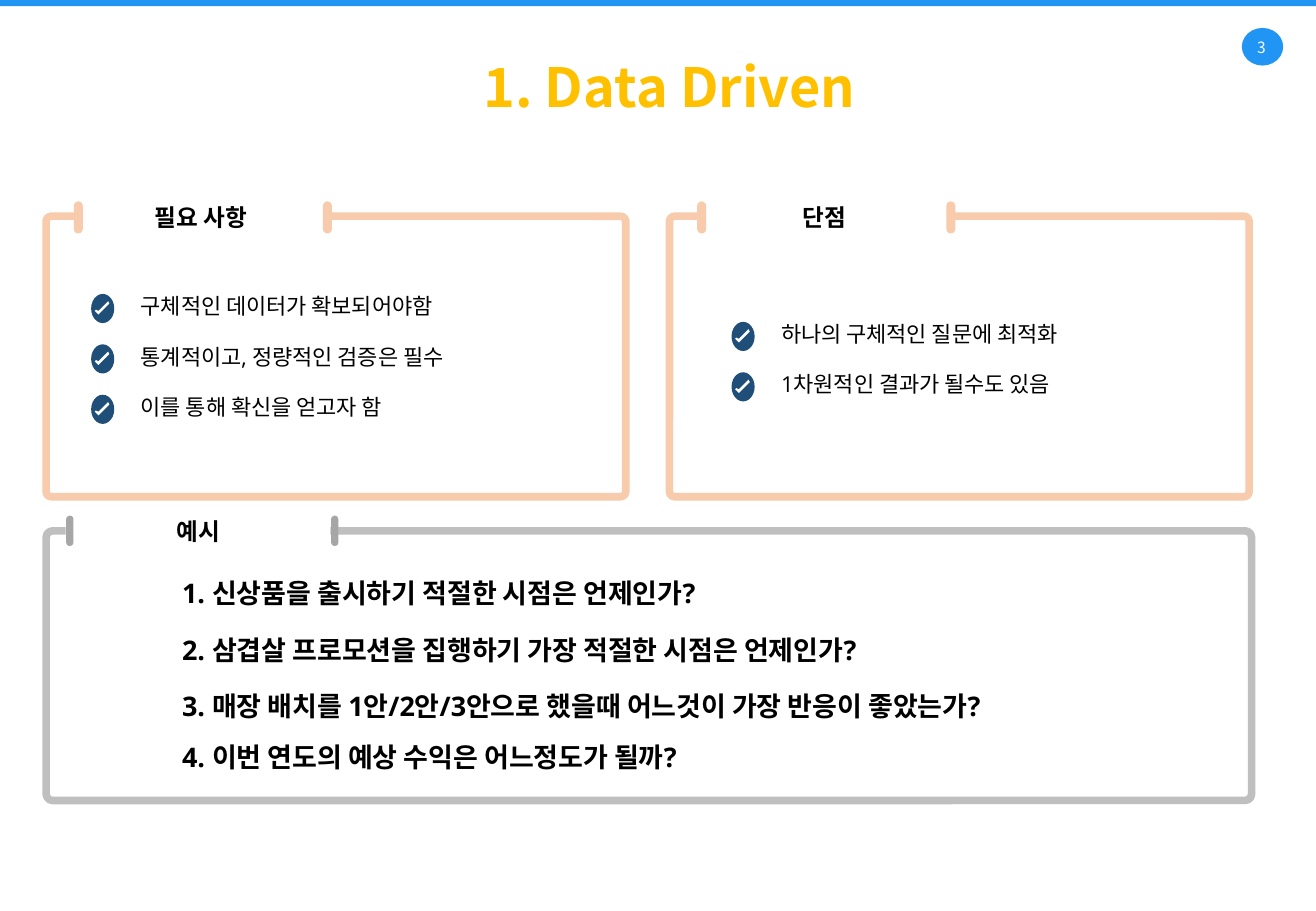
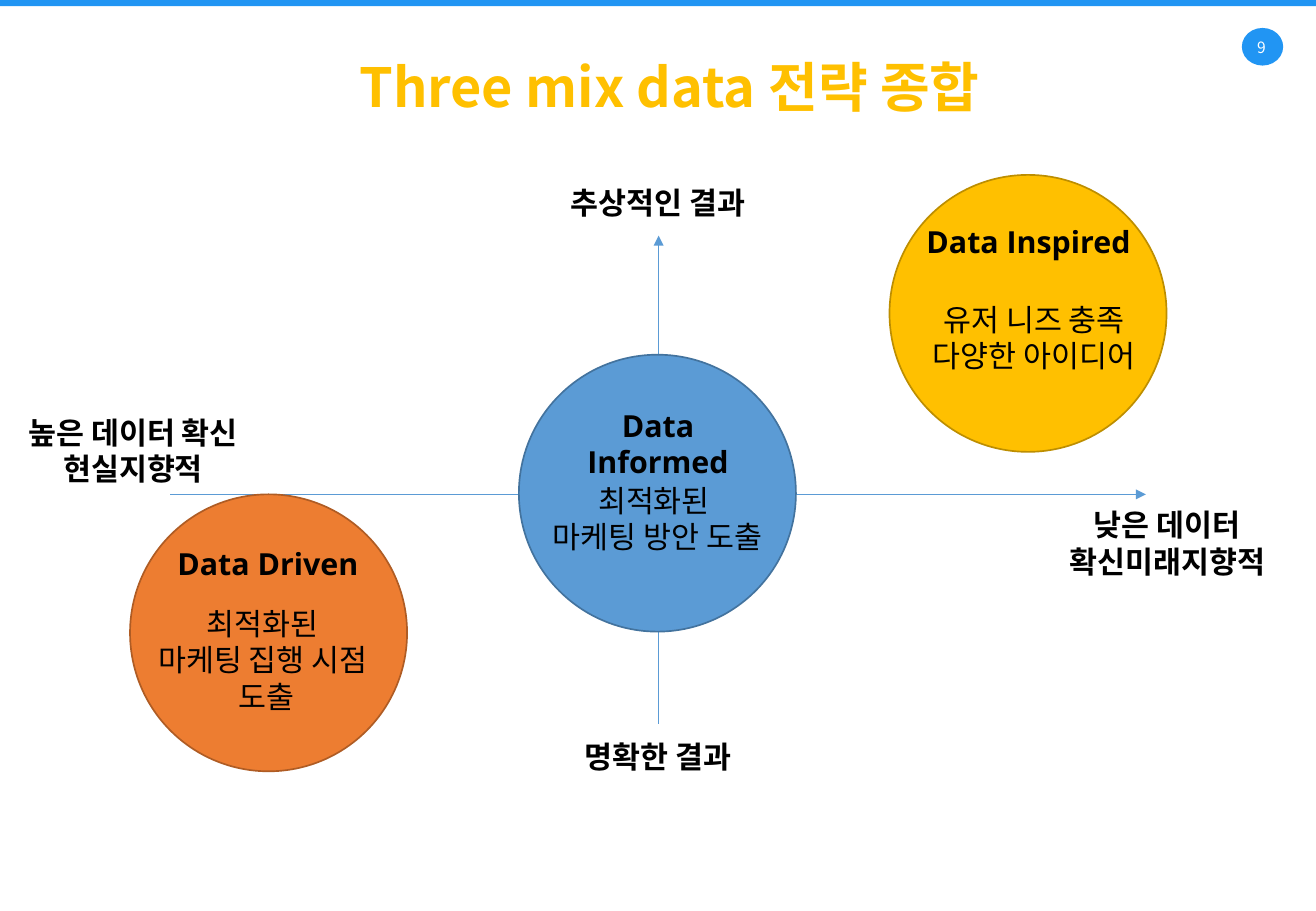
from dataclasses import dataclass

from pptx import Presentation
from pptx import util as u
from pptx.dml import color
from pptx.enum import shapes, text
from pptx.oxml import ns, xmlchemy

I = u.Inches
GEOM = shapes.MSO_SHAPE
Box = tuple[float, float, float, float]


# Theme
@dataclass(frozen=True)
class Theme:
    latin: str = "Open Sans"
    asian: str = "Noto Sans CJK KR"
    white: str = "FFFFFF"
    black: str = "000000"
    band: str = "2195F3"
    title: str = "FFC000"
    peach: str = "F8CBAD"
    gray: str = "BFBFBF"
    dark_gray: str = "A6A6A6"
    navy: str = "1F4E79"
    blue: str = "5B9BD5"
    blue_edge: str = "43739E"
    gold: str = "FFC000"
    gold_edge: str = "BD8E00"
    orange: str = "ED7D31"
    orange_edge: str = "AF5C24"
    number_size: float = 9.2
    title_size: float = 32
    item_size: float = 13
    label_size: float = 14
    example_size: float = 16
    map_size: float = 18


T = Theme()


@dataclass(frozen=True)
class Panel:
    box: Box
    label: str
    label_box: Box
    ticks: tuple[float, float]
    edge: str
    tick_fill: str
    tick_edge: str | None
    radius: float


@dataclass(frozen=True)
class CheckList:
    x: float
    y: float
    items: tuple[str, ...]


@dataclass(frozen=True)
class Circle:
    x: float
    y: float
    fill: str
    edge: str


@dataclass(frozen=True)
class Caption:
    box: Box
    text: str
    bold: bool = True


# Drawing helpers
def rgb(value: str):
    return color.RGBColor.from_string(value)


def paint(sp, fill: str, edge: str | None = None, width: float = 1):
    sp.shadow.inherit = False
    sp.fill.solid()
    sp.fill.fore_color.rgb = rgb(fill)
    if edge:
        sp.line.color.rgb = rgb(edge)
        sp.line.width = u.Pt(width)
    else:
        sp.line.fill.background()
    return sp


def add_shape(parent, geom, box: Box, fill: str, edge: str | None = None, width: float = 1):
    sp = parent.shapes.add_shape(geom, *map(I, box))
    return paint(sp, fill, edge, width)


def write(sp, content: str, size: float, ink: str = T.black, bold: bool = False,
          center: bool = True, font: str = T.latin) -> None:
    tf = sp.text_frame
    tf.word_wrap = True
    tf.text = content
    for p in tf.paragraphs:
        p.alignment = text.PP_ALIGN.CENTER if center else text.PP_ALIGN.LEFT
        for r in p.runs:
            r.font.name = font
            r.font.size = u.Pt(size)
            r.font.bold = bold
            r.font.color.rgb = rgb(ink)
            ea = xmlchemy.OxmlElement("a:ea")
            ea.set("typeface", T.asian)
            r.font._element.append(ea)


def add_text(s, box: Box, content: str, size: float, inset: bool = True, **style):
    sp = s.shapes.add_textbox(*map(I, box))
    tf = sp.text_frame
    if not inset:
        tf.margin_left = tf.margin_right = tf.margin_top = tf.margin_bottom = 0
    write(sp, content, size, **style)
    return sp


def add_arrow(s, x1: float, y1: float, x2: float, y2: float) -> None:
    line = s.shapes.add_connector(shapes.MSO_CONNECTOR.STRAIGHT, I(x1), I(y1), I(x2), I(y2))
    line.line.color.rgb = rgb(T.blue)
    line.line.width = u.Pt(0.5)
    head = xmlchemy.OxmlElement("a:tailEnd")
    head.set("type", "triangle")
    line.line._get_or_add_ln().append(head)
    line._element.find(ns.qn("p:spPr")).append(xmlchemy.OxmlElement("a:effectLst"))


def add_panel(s, panel: Panel) -> None:
    frame = add_shape(s, GEOM.ROUNDED_RECTANGLE, panel.box, T.white, panel.edge, 4.5)
    frame.adjustments[0] = panel.radius
    label = add_shape(s, GEOM.RECTANGLE, panel.label_box, T.white)
    label.text_frame.vertical_anchor = text.MSO_ANCHOR.MIDDLE
    write(label, panel.label, T.label_size, bold=True)
    for x in panel.ticks:
        tick = add_shape(s, GEOM.ROUNDED_RECTANGLE, (x, panel.label_box[1] + 0.13, 0.25, 0.06),
                         panel.tick_fill, panel.tick_edge)
        tick.adjustments[0] = 0.5
        tick.rotation = 270


def add_check(s, x: float, y: float) -> None:
    group = s.shapes.add_group_shape()
    add_shape(group, GEOM.OVAL, (x, y, 0.19, 0.24), T.navy)
    outline = [(0.14, 0.06), (0.15, 0.08), (0.06, 0.17), (0.03, 0.14), (0.04, 0.13), (0.06, 0.14)]
    points = [(I(x + dx), I(y + dy)) for dx, dy in outline]
    builder = group.shapes.build_freeform(*points[0])
    builder.add_line_segments(points[1:], close=True)
    paint(builder.convert_to_shape(), T.white)


def add_check_list(s, checks: CheckList) -> None:
    for i, item in enumerate(checks.items):
        y = checks.y + i * 0.415
        add_text(s, (checks.x, y, 3.72, 0.32), item, T.item_size, center=False)
        add_check(s, checks.x - 0.31, y + 0.06)


def new_slide(prs, number: int, title: str):
    s = prs.slides.add_slide(prs.slide_layouts[6])
    # Page number and top band
    add_shape(s, GEOM.OVAL, (10.22, 0.23, 0.34, 0.31), T.band)
    add_text(s, (10.19, 0.31, 0.38, 0.15), str(number), T.number_size, inset=False,
             ink=T.white, font=T.asian)
    add_shape(s, GEOM.RECTANGLE, (0, 0, 10.83, 0.05), T.band)
    # Title
    sp = add_text(s, (0.71, 0.44, 9.41, 0.54), title, T.title_size, inset=False,
                  ink=T.title, bold=True, font=T.asian)
    pPr = sp.text_frame.paragraphs[0]._p.get_or_add_pPr()
    pPr.set("marL", str(I(0.1)))
    pPr.set("indent", str(I(0.09)))
    return s


# Slide content
def peach_panel(x: float, label: str) -> Panel:
    return Panel((x, 1.78, 4.77, 2.31), label, (x + 0.26, 1.63, 2.03, 0.32),
                 (x + 0.14, x + 2.19), T.peach, T.peach, T.peach, 0.018)


EXAMPLE_PANEL = Panel((0.38, 4.37, 9.92, 2.22), "예시", (0.54, 4.21, 2.18, 0.32),
                      (0.45, 2.63), T.gray, T.dark_gray, None, 0.024)

NEEDS = CheckList(1.06, 2.36, ("구체적인 데이터가 확보되어야함",
                               "통계적이고, 정량적인 검증은 필수",
                               "이를 통해 확신을 얻고자 함"))
DRAWBACKS = CheckList(6.33, 2.59, ("하나의 구체적인 질문에 최적화",
                                   "1차원적인 결과가 될수도 있음"))

EXAMPLES = (
    (4.7, "1. 신상품을 출시하기 적절한 시점은 언제인가?"),
    (5.17, "2. 삼겹살 프로모션을 집행하기 가장 적절한 시점은 언제인가?"),
    (5.63, "3. 매장 배치를 1안/2안/3안으로 했을때 어느것이 가장 반응이 좋았는가?"),
    (6.05, "4. 이번 연도의 예상 수익은 어느정도가 될까?"),
)

DIAMETER = 2.28
CIRCLES = (
    Circle(4.27, 2.92, T.blue, T.blue_edge),
    Circle(7.32, 1.44, T.gold, T.gold_edge),
    Circle(1.07, 4.07, T.orange, T.orange_edge),
)

CAPTIONS = (
    Caption((7.48, 1.79, 1.97, 0.4), "Data Inspired"),
    Caption((4.43, 3.3, 1.97, 0.4), "Data Informed"),
    Caption((1.22, 4.44, 1.97, 0.4), "Data Driven"),
    Caption((4.43, 1.47, 1.97, 0.4), "추상적인 결과"),
    Caption((4.43, 6.03, 1.97, 0.4), "명확한 결과"),
    Caption((0, 3.36, 2.19, 0.71), "높은 데이터 확신\n현실지향적"),
    Caption((8.51, 4.12, 2.19, 0.71), "낮은 데이터 확신미래지향적"),
    Caption((7.37, 2.43, 2.28, 0.71), "유저 니즈 충족\n다양한 아이디어", False),
    Caption((4.27, 3.92, 2.28, 0.71), "최적화된 \n마케팅 방안 도출", False),
    Caption((1.05, 4.93, 2.28, 1.01), "최적화된 \n마케팅 집행 시점 \n도출", False),
)


def data_driven_slide(prs) -> None:
    s = new_slide(prs, 3, "1. Data Driven")
    for panel in (peach_panel(0.38, "필요 사항"), peach_panel(5.51, "단점"), EXAMPLE_PANEL):
        add_panel(s, panel)
    for checks in (NEEDS, DRAWBACKS):
        add_check_list(s, checks)
    for y, question in EXAMPLES:
        add_text(s, (1.4, y, 7.88, 0.37), question, T.example_size, bold=True, center=False)


def strategy_map_slide(prs) -> None:
    s = new_slide(prs, 9, "Three mix data 전략 종합")
    # Axes
    add_arrow(s, 1.4, 4.07, 9.43, 4.07)
    add_arrow(s, 5.42, 5.96, 5.42, 1.94)
    # Strategies and captions
    for c in CIRCLES:
        add_shape(s, GEOM.OVAL, (c.x, c.y, DIAMETER, DIAMETER), c.fill, c.edge)
    for caption in CAPTIONS:
        add_text(s, caption.box, caption.text, T.map_size, bold=caption.bold)


def main() -> None:
    prs = Presentation()
    prs.slide_width, prs.slide_height = I(10.83), I(7.5)
    data_driven_slide(prs)
    strategy_map_slide(prs)
    prs.save("out.pptx")


if __name__ == "__main__":
    main()
